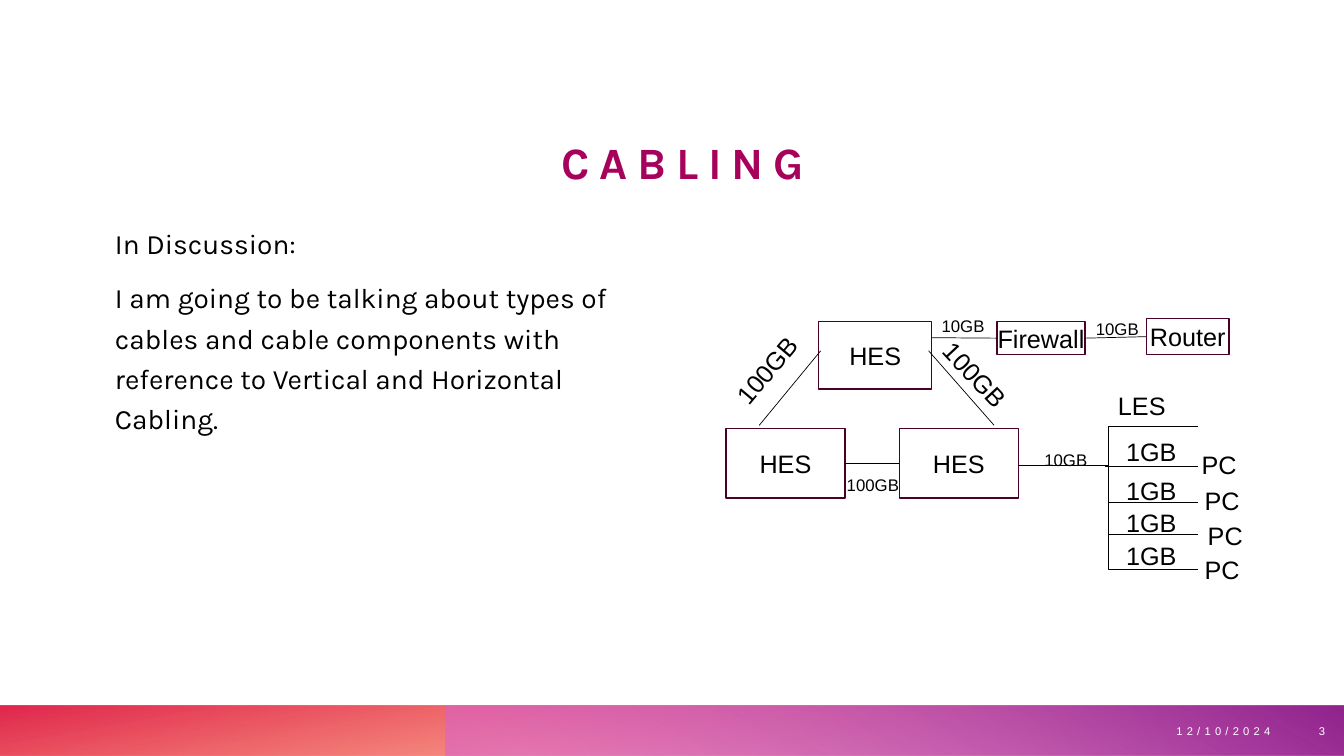
from dataclasses import dataclass

from lxml import etree
from pptx import Presentation
from pptx.dml.color import RGBColor
from pptx.enum.shapes import MSO_CONNECTOR as CONN, MSO_SHAPE as SHAPE
from pptx.enum.text import MSO_ANCHOR as ANCHOR, MSO_AUTO_SIZE as AUTO, PP_ALIGN as ALIGN
from pptx.oxml import parse_xml
from pptx.oxml.ns import nsdecls, qn
from pptx.util import Inches, Pt


@dataclass(frozen=True)
class Theme:
    heading: str = "Karla"
    label: str = "Arial"
    magenta: str = "A6025C"
    black: str = "000000"
    white: str = "FFFFFF"
    outline: str = "490128"
    title_pt: int = 32
    body_pt: int = 20
    node_pt: int = 18
    link_pt: int = 12
    footer_pt: int = 8
    # Gradient stops: position %, colour, opacity %
    warm: tuple = ((14, "FE4A00", 28), (100, "DA002F", 85))
    violet: tuple = ((9, "D861D4", 55), (99, "92248E", 100))


T = Theme()


def rgb(value):
    return RGBColor.from_string(value)


def add_run(p, text, size, font=T.label, color=T.black, bold=False, spacing=0):
    r = p.add_run()
    r.text = text
    r.font.size, r.font.name, r.font.bold = Pt(size), font, bold
    r.font.color.rgb = rgb(color)
    if spacing:
        r._r.get_or_add_rPr().set("spc", str(spacing * 100))


def place(shape, x, y, w, h):
    shape.left, shape.top = Inches(x), Inches(y)
    shape.width, shape.height = Inches(w), Inches(h)


def no_insets(tf):
    tf.margin_left = tf.margin_right = tf.margin_top = tf.margin_bottom = 0


def add_label(s, text, x, y, w, h=0.4, size=T.node_pt, rotation=0,
              color=T.black, align=ALIGN.LEFT, anchor=ANCHOR.TOP, spacing=0):
    box = s.shapes.add_textbox(Inches(x), Inches(y), Inches(w), Inches(h))
    box.rotation = rotation
    tf = box.text_frame
    tf.word_wrap, tf.vertical_anchor = True, anchor
    p = tf.paragraphs[0]
    p.alignment = align
    add_run(p, text, size, color=color, spacing=spacing)


def add_node(s, text, x, y, w, h):
    node = s.shapes.add_shape(SHAPE.RECTANGLE, Inches(x), Inches(y), Inches(w), Inches(h))
    node.shadow.inherit = False
    node.fill.solid()
    node.fill.fore_color.rgb = rgb(T.white)
    node.line.color.rgb = rgb(T.outline)
    node.line.width = Pt(1)
    tf = node.text_frame
    no_insets(tf)
    tf.word_wrap, tf.vertical_anchor = False, ANCHOR.MIDDLE
    p = tf.paragraphs[0]
    p.alignment = ALIGN.CENTER
    add_run(p, text, T.node_pt)
    return node


def add_cable(s, x1, y1, x2, y2, kind=CONN.STRAIGHT):
    cable = s.shapes.add_connector(kind, Inches(x1), Inches(y1), Inches(x2), Inches(y2))
    cable.line.color.rgb = rgb(T.black)
    cable.line.width = Pt(0.5)
    etree.SubElement(cable._element.spPr, qn("a:effectLst"))
    return cable


def add_band(s, x, y, w, h, stops, angle, rotation=0):
    band = s.shapes.add_shape(SHAPE.RECTANGLE, Inches(x), Inches(y), Inches(w), Inches(h))
    band.shadow.inherit = False
    band.line.fill.background()
    band.rotation = rotation
    spPr = band._element.spPr
    spPr.find(qn("a:xfrm")).set("flipH", "1")
    gs = "".join(
        f'<a:gs pos="{pos * 1000}"><a:srgbClr val="{color}">'
        f'<a:alpha val="{alpha * 1000}"/></a:srgbClr></a:gs>'
        for pos, color, alpha in stops)
    spPr.find(qn("a:prstGeom")).addnext(parse_xml(
        f'<a:gradFill {nsdecls("a")} rotWithShape="1"><a:gsLst>{gs}</a:gsLst>'
        f'<a:lin ang="{angle * 60000}" scaled="0"/></a:gradFill>'))


def footer(s, x, y, w, h):
    split = 4.42
    add_band(s, x, y, w, h, T.warm, 100, rotation=180)
    add_band(s, x + split, y, w - split, h, T.violet, 240)
    style = dict(size=T.footer_pt, color=T.white, align=ALIGN.RIGHT, anchor=ANCHOR.MIDDLE)
    add_label(s, "12/10/2024", x + 8.65, y, 4.05, h, spacing=3, **style)
    add_label(s, "3", x + 12.76, y, 0.48, h, **style)


def title(s, x, y, w, h):
    sp = s.shapes.title
    place(sp, x, y, w, h)
    tf = sp.text_frame
    no_insets(tf)
    tf.auto_size, tf.vertical_anchor = AUTO.NONE, ANCHOR.BOTTOM
    p = tf.paragraphs[0]
    p.alignment = ALIGN.CENTER
    add_run(p, "CABLING", T.title_pt, T.heading, T.magenta, bold=True, spacing=7)


def discussion(s, x, y, w, h):
    sp = s.placeholders[1]
    place(sp, x, y, w, h)
    tf = sp.text_frame
    no_insets(tf)
    tf.auto_size, tf.vertical_anchor = AUTO.NONE, ANCHOR.TOP
    lines = ("In Discussion:",
             "I am going to be talking about types of cables and cable components "
             "with reference to Vertical and Horizontal Cabling.")
    for i, line in enumerate(lines):
        p = tf.paragraphs[0] if i == 0 else tf.add_paragraph()
        pPr = p._p.get_or_add_pPr()
        pPr.set("marL", "0")
        pPr.set("indent", "0")
        etree.SubElement(pPr, qn("a:buNone"))
        p.alignment, p.line_spacing = ALIGN.LEFT, 1.2
        p.space_before = Pt(10 if i else 0)
        add_run(p, line, T.body_pt, T.heading)


def network(s, x, y):
    # Switches and gateway devices
    add_node(s, "HES", x + 1.12, y + 0.19, 1.12, 0.67)
    left, right = (add_node(s, "HES", x + dx, y + 1.25, 1.18, 0.69) for dx in (0.2, 1.92))
    firewall = add_node(s, "Firewall", x + 2.89, y + 0.19, 0.87, 0.33)
    router = add_node(s, "Router", x + 4.37, y + 0.16, 0.82, 0.36)

    # Backbone cables
    add_cable(s, x + 1.14, y + 0.48, x + 0.53, y + 1.22)
    add_cable(s, x + 2.21, y + 0.48, x + 2.86, y + 1.22)
    between = add_cable(s, x + 1.38, y + 1.6, x + 1.92, y + 1.6)
    between.begin_connect(left, 3)
    between.end_connect(right, 1)
    add_cable(s, x + 2.24, y + 0.35, x + 2.89, y + 0.35).end_connect(firewall, 1)
    uplink = add_cable(s, x + 3.76, y + 0.35, x + 4.37, y + 0.34)
    uplink.begin_connect(firewall, 3)
    uplink.end_connect(router, 1)

    # Backbone speeds
    add_label(s, "100GB", x + 0.1, y + 0.44, 1.06, rotation=310)
    add_label(s, "100GB", x + 2.17, y + 0.55, 1.06, rotation=47)
    add_label(s, "100GB", x + 1.3, y + 1.66, 1.06, 0.3, T.link_pt)
    for dx, dy in ((2.24, 0.08), (3.77, 0.11), (3.26, 1.41)):
        add_label(s, "10GB", x + dx, y + dy, 0.7, 0.3, T.link_pt)

    # LES branch: outer elbows, inner cables and one PC per row
    add_label(s, "LES", x + 3.99, y + 0.82, 0.94)
    for end in (1.23, 2.65):
        add_cable(s, x + 3.1, y + 1.62, x + 4.88, y + end, CONN.ELBOW)
    for start, dy in ((3.96, 1.63), (3.99, 1.98), (3.99, 2.3)):
        add_cable(s, x + start, y + dy, x + 4.88, y + dy)
    speed_tops = (1.28, 1.67, 1.98, 2.31)
    pcs = ((4.82, 1.41), (4.85, 1.77), (4.88, 2.11), (4.85, 2.45))
    for speed_top, (pc_x, pc_top) in zip(speed_tops, pcs):
        add_label(s, "1GB", x + 4.07, y + speed_top, 0.94)
        add_label(s, "PC", x + pc_x, y + pc_top, 0.72)


def main():
    prs = Presentation()
    prs.slide_width, prs.slide_height = Inches(13.33), Inches(7.5)
    s = prs.slides.add_slide(prs.slide_layouts[1])
    footer(s, 0, 7, 13.33, 0.5)
    title(s, 1.14, 0.85, 11.27, 1.02)
    discussion(s, 1.14, 2.18, 5.44, 4.57)
    network(s, 7, 3)
    prs.save("out.pptx")


if __name__ == "__main__":
    main()
